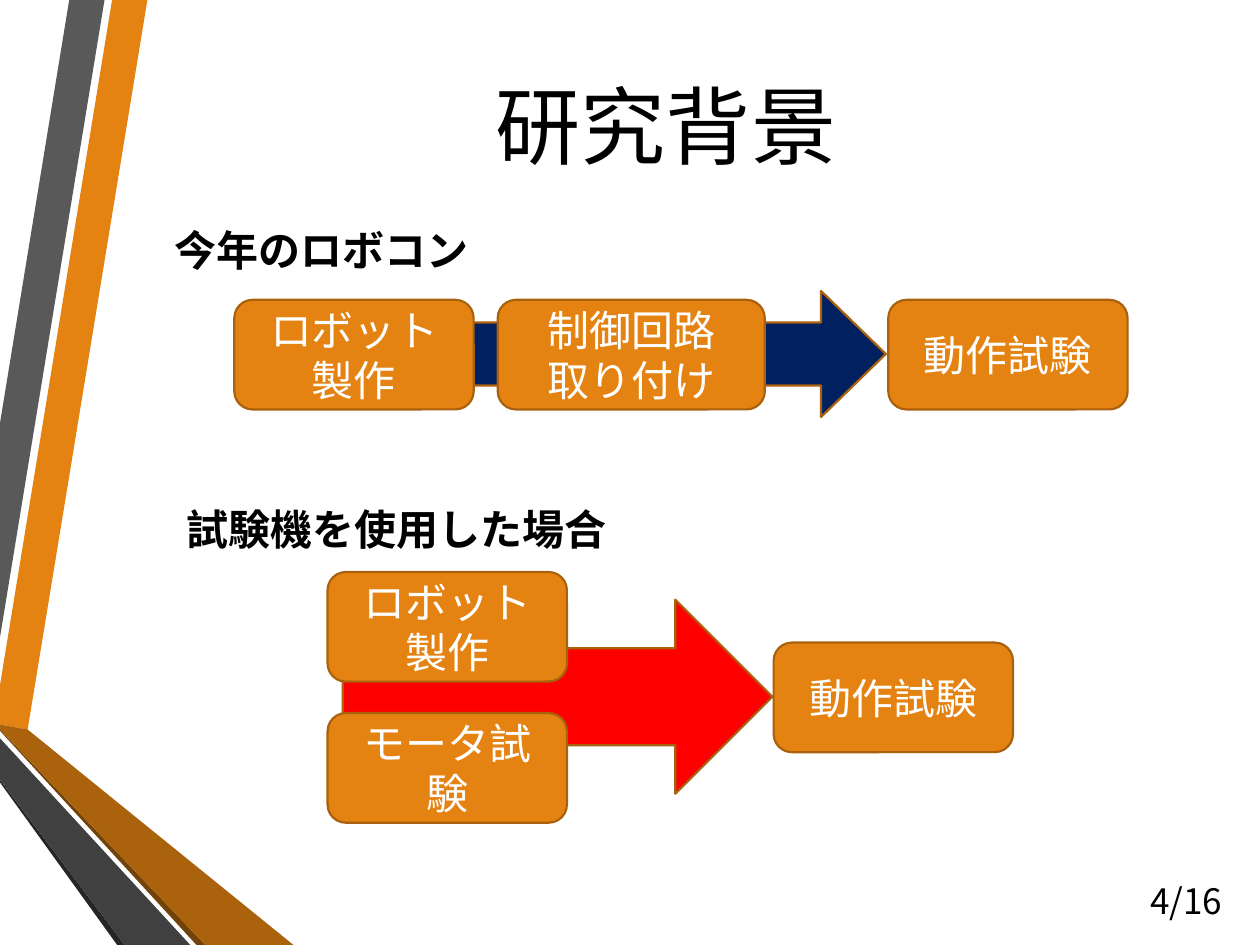
from lxml import etree
from pptx import Presentation
from pptx.dml.color import RGBColor
from pptx.enum.shapes import MSO_SHAPE
from pptx.enum.text import MSO_ANCHOR, PP_ALIGN
from pptx.oxml.ns import qn
from pptx.util import Inches, Pt

ROUNDED = MSO_SHAPE.ROUNDED_RECTANGLE
ARROW = MSO_SHAPE.RIGHT_ARROW
LEFT, CENTER, RIGHT = PP_ALIGN.LEFT, PP_ALIGN.CENTER, PP_ALIGN.RIGHT
TOP, MIDDLE = MSO_ANCHOR.TOP, MSO_ANCHOR.MIDDLE

FONT = "Noto Sans CJK JP"
ORANGE, OUTLINE = "E48312", "A9610D"
NAVY, RED = "002060", "FF0000"
BLACK, WHITE = "000000", "FFFFFF"
STEP_WIDTH, STEP_HEIGHT = 1.9, 0.87

BANDS = [
    (ORANGE, [(0, 5.44), (0, 5.75), (0.22, 5.79), (1.17, 0), (0.89, 0)]),
    ("595959", [(0.83, 0), (0.55, 0), (0, 3.36), (0, 5.06)]),
    ("262626", [(0, 6.19), (0, 6.21), (0.93, 7.5), (0.99, 7.5)]),
    ("724209", [(0, 5.79), (0, 5.8), (1.56, 7.5), (1.63, 7.5)]),
    ("AB620D", [(0, 5.79), (1.63, 7.5), (2.33, 7.5), (0.22, 5.79), (0, 5.75)]),
    ("404040", [(0, 6.19), (0.99, 7.5), (1.51, 7.5), (0, 5.86)]),
]


def color(value):
    return RGBColor.from_string(value)


def fill_shape(shape, fill, outline=None):
    shape.shadow.inherit = False
    shape.fill.solid()
    shape.fill.fore_color.rgb = color(fill)
    if outline:
        shape.line.color.rgb = color(outline)
        shape.line.width = Pt(1.25)
    else:
        shape.line.fill.background()


def write_text(shape, text, size, text_color, align, anchor=MIDDLE, bold=False):
    frame = shape.text_frame
    frame.word_wrap = True
    frame.vertical_anchor = anchor
    paragraph = frame.paragraphs[0]
    paragraph.text = text
    paragraph.alignment = align
    for run in paragraph.runs:
        run.font.size = Pt(size)
        run.font.bold = bold
        run.font.name = FONT
        run.font.color.rgb = color(text_color)
        east_asian = etree.SubElement(run._r.get_or_add_rPr(), qn("a:ea"))
        east_asian.set("typeface", FONT)


def add_label(slide, box, text, size, align, anchor=TOP, bold=False):
    label = slide.shapes.add_textbox(*map(Inches, box))
    write_text(label, text, size, BLACK, align, anchor, bold)


def add_step(slide, left, top, text, width=STEP_WIDTH):
    box = (left, top, width, STEP_HEIGHT)
    step = slide.shapes.add_shape(ROUNDED, *map(Inches, box))
    fill_shape(step, ORANGE, OUTLINE)
    write_text(step, text, 24, WHITE, CENTER)


def add_arrow(slide, box, fill, head=0.5):
    arrow = slide.shapes.add_shape(ARROW, *map(Inches, box))
    arrow.adjustments[1] = head
    fill_shape(arrow, fill, OUTLINE)


def add_bands(slide):
    for fill, corners in BANDS:
        points = [(Inches(x), Inches(y)) for x, y in corners]
        builder = slide.shapes.build_freeform(*points[0])
        builder.add_line_segments(points[1:], close=True)
        fill_shape(builder.convert_to_shape(), fill)


def add_title(slide, box, text):
    title = slide.shapes.title
    title.left, title.top, title.width, title.height = map(Inches, box)
    write_text(title, text, 48.6, BLACK, CENTER)


def add_current_flow(slide, left, top):
    add_label(slide, (left, top, 2.6, 0.5), "今年のロボコン", 24, LEFT, bold=True)
    row = top + 0.65
    add_arrow(slide, (left + 1.26, row - 0.07, 4.48, 1), NAVY, 0.513)
    add_step(slide, left + 2.66, row, "制御回路\n取り付け", 2.12)
    add_step(slide, left + 0.57, row, "ロボット製作")
    add_step(slide, left + 5.76, row, "動作試験")


def add_tester_flow(slide, left, top):
    add_label(slide, (left, top, 3.55, 0.5), "試験機を使用した場合", 24, LEFT, bold=True)
    add_arrow(slide, (left + 1.34, top + 0.81, 3.41, 1.54), RED)
    add_step(slide, left + 1.22, top + 1.71, "モータ試験")
    add_step(slide, left + 1.22, top + 0.59, "ロボット製作")
    add_step(slide, left + 4.76, top + 1.15, "動作試験")


def main():
    presentation = Presentation()
    presentation.slide_width = Inches(10)
    presentation.slide_height = Inches(7.5)
    slide = presentation.slides.add_slide(presentation.slide_layouts[5])
    add_bands(slide)
    add_title(slide, (1.07, 0.51, 8.43, 0.95), "研究背景")
    add_label(slide, (8.78, 6.95, 1.02, 0.4), "4/16", 20, RIGHT, MIDDLE)
    add_current_flow(slide, 1.29, 1.73)
    add_tester_flow(slide, 1.38, 3.95)
    presentation.save("out.pptx")


if __name__ == "__main__":
    main()
